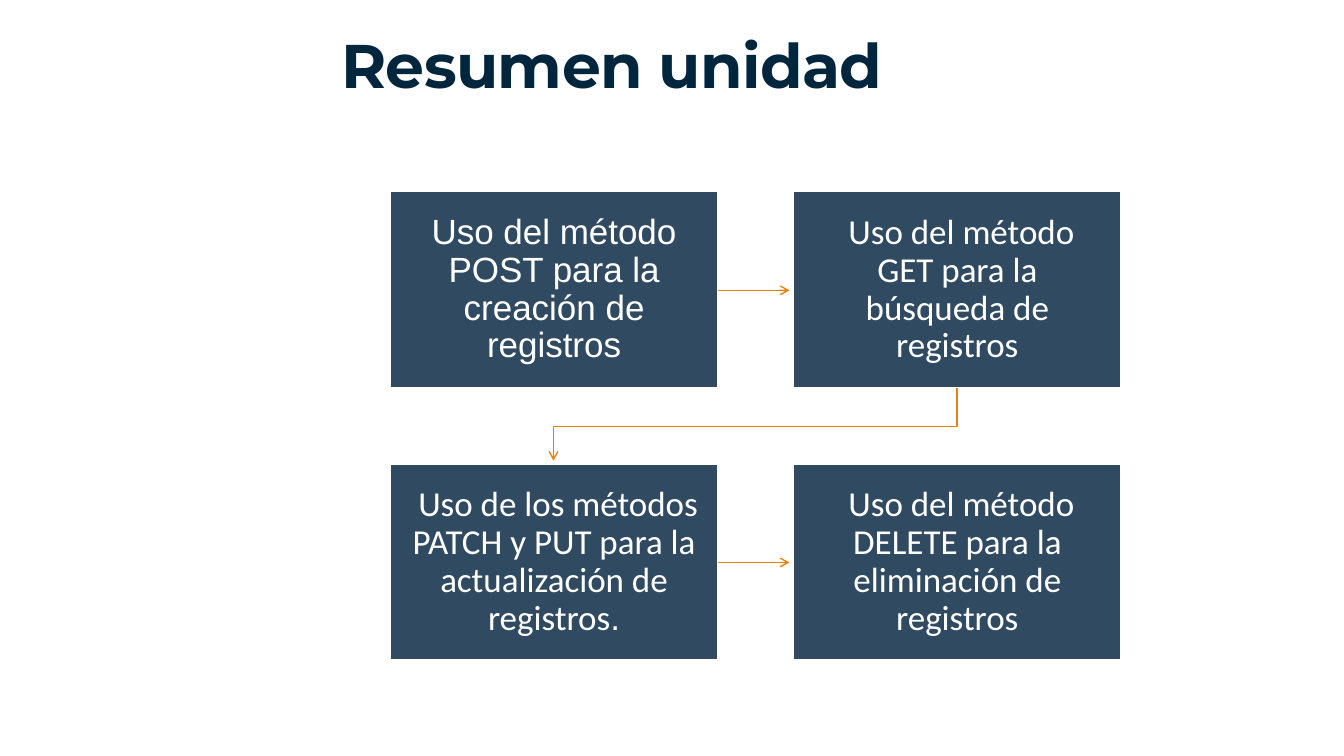
from lxml import etree
from pptx import Presentation
from pptx.dml.color import RGBColor
from pptx.enum.shapes import MSO_CONNECTOR, MSO_SHAPE
from pptx.enum.text import MSO_ANCHOR, MSO_AUTO_SIZE, PP_ALIGN
from pptx.oxml.ns import qn
from pptx.util import Pt

PX = 9144  # 100 px to the inch
NAVY = RGBColor(0x00, 0x26, 0x3E)
SLATE = RGBColor(0x30, 0x4B, 0x61)
ORANGE = RGBColor(0xE4, 0x83, 0x12)
WHITE = RGBColor(0xFF, 0xFF, 0xFF)
CENTER = PP_ALIGN.CENTER
MIDDLE = MSO_ANCHOR.MIDDLE
RECTANGLE = MSO_SHAPE.RECTANGLE
STRAIGHT = MSO_CONNECTOR.STRAIGHT

BOX_WIDTH, BOX_HEIGHT = 325, 195
COLUMNS = (387, 787)
ROWS = (190, 460)
INSET = 19
ARROW_LENGTH = 71

# Each step is a list of (text, font) runs
STEPS = [
    [("Uso del método POST para la creación de registros", "Arial")],
    [(" Uso del método GET para la búsqueda de registros", "Calibri")],
    [(" Uso de los métodos PATCH y PUT para la actualización de registros", "Calibri"),
     (".", "Arial")],
    [(" Uso del método DELETE para la eliminación de registros", "Calibri")],
]


def style_arrow(shape):
    """Orange line with an open arrowhead at its end and no shadow."""
    shape.line.color.rgb = ORANGE
    shape.line.width = Pt(1)
    properties = shape.element.spPr
    etree.SubElement(properties.find(qn("a:ln")), qn("a:tailEnd"), type="arrow")
    etree.SubElement(properties, qn("a:effectLst"))


presentation = Presentation()
presentation.slide_width = 1333 * PX
presentation.slide_height = 750 * PX
slide = presentation.slides.add_slide(presentation.slide_layouts[5])
shapes = slide.shapes

title = shapes.title
title.left, title.top, title.width, title.height = 54 * PX, 36 * PX, 1106 * PX, 66 * PX
title.text_frame.text = "Resumen unidad"
title.text_frame.auto_size = MSO_AUTO_SIZE.NONE
title.text_frame.vertical_anchor = MIDDLE
paragraph = title.text_frame.paragraphs[0]
paragraph.alignment = CENTER
paragraph.line_spacing = 0.85
font = paragraph.runs[0].font
font.name, font.size, font.bold = "Montserrat", Pt(44), True
font.color.rgb = NAVY
paragraph.runs[0].font._element.set("spc", "-50")

# Step boxes
for index, step in enumerate(STEPS):
    row, column = divmod(index, len(COLUMNS))
    box = shapes.add_shape(RECTANGLE, COLUMNS[column] * PX, ROWS[row] * PX,
                           BOX_WIDTH * PX, BOX_HEIGHT * PX)
    box.shadow.inherit = False
    box.fill.solid()
    box.fill.fore_color.rgb = SLATE
    box.line.color.rgb = WHITE
    box.line.width = Pt(1.25)
    frame = box.text_frame
    frame.word_wrap = True
    frame.vertical_anchor = MIDDLE
    frame.margin_left = frame.margin_right = INSET * PX
    frame.margin_top = frame.margin_bottom = INSET * PX
    paragraph = frame.paragraphs[0]
    paragraph.alignment = CENTER
    paragraph.line_spacing = 0.9
    for text, font_name in step:
        run = paragraph.add_run()
        run.text = text
        run.font.name = font_name
        run.font.size = Pt(25)
        run.font.color.rgb = WHITE

# Arrows along each row
arrow_left = COLUMNS[0] + BOX_WIDTH
for top in ROWS:
    middle = top + BOX_HEIGHT // 2 + 1
    arrow = shapes.add_connector(STRAIGHT, arrow_left * PX, middle * PX,
                                 (arrow_left + ARROW_LENGTH) * PX, middle * PX)
    style_arrow(arrow)

# Bent arrow from the end of the first row to the start of the second
first_center, second_center = (left + BOX_WIDTH // 2 for left in COLUMNS)
row_bottom = ROWS[0] + BOX_HEIGHT
bend = (row_bottom + ROWS[1]) // 2 + 1
builder = shapes.build_freeform(second_center, row_bottom, scale=PX)
builder.add_line_segments(
    [(second_center, bend), (first_center, bend), (first_center, ROWS[1] - 3)], close=False)
bent_arrow = builder.convert_to_shape()
bent_arrow.fill.background()
style_arrow(bent_arrow)

presentation.save("out.pptx")
